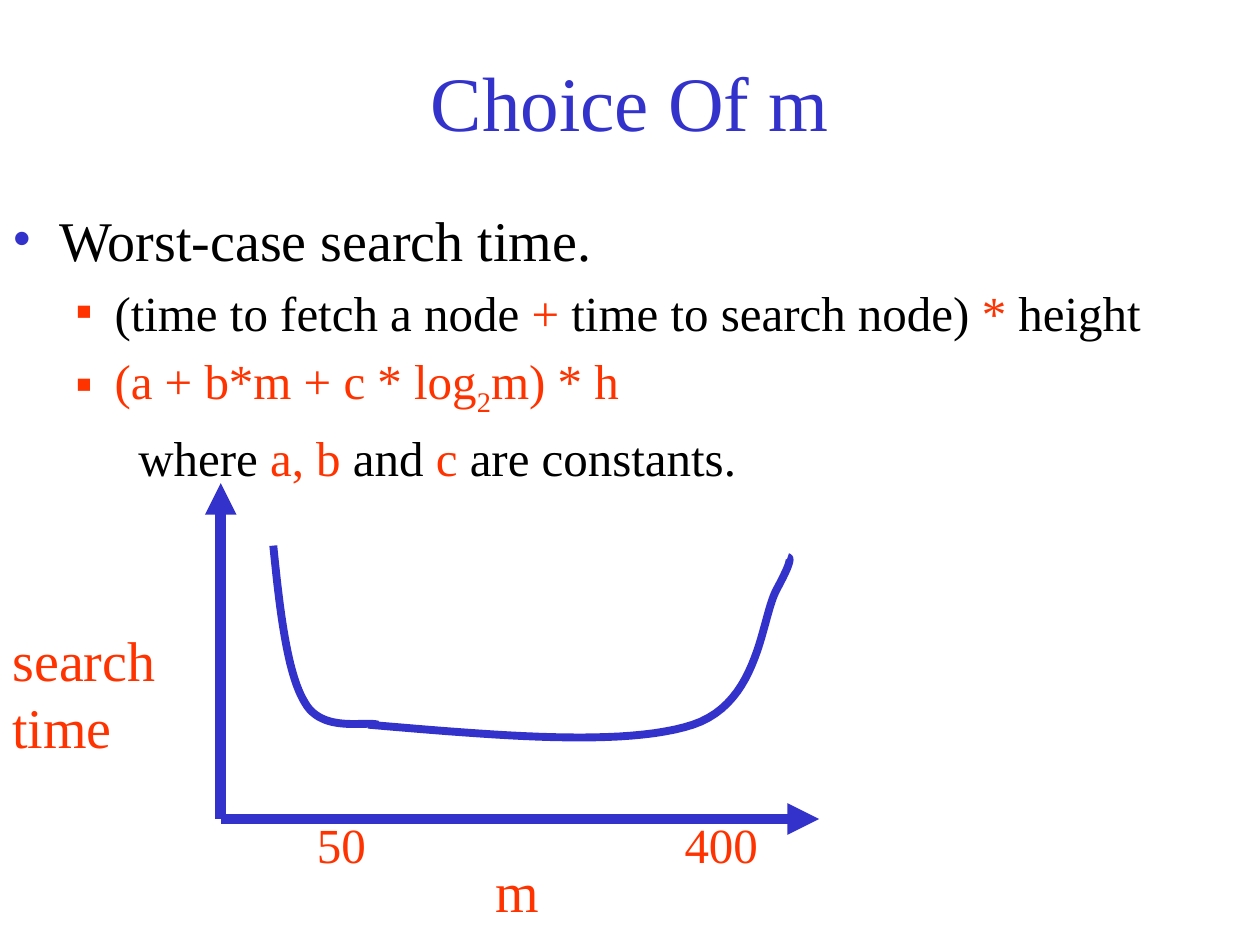
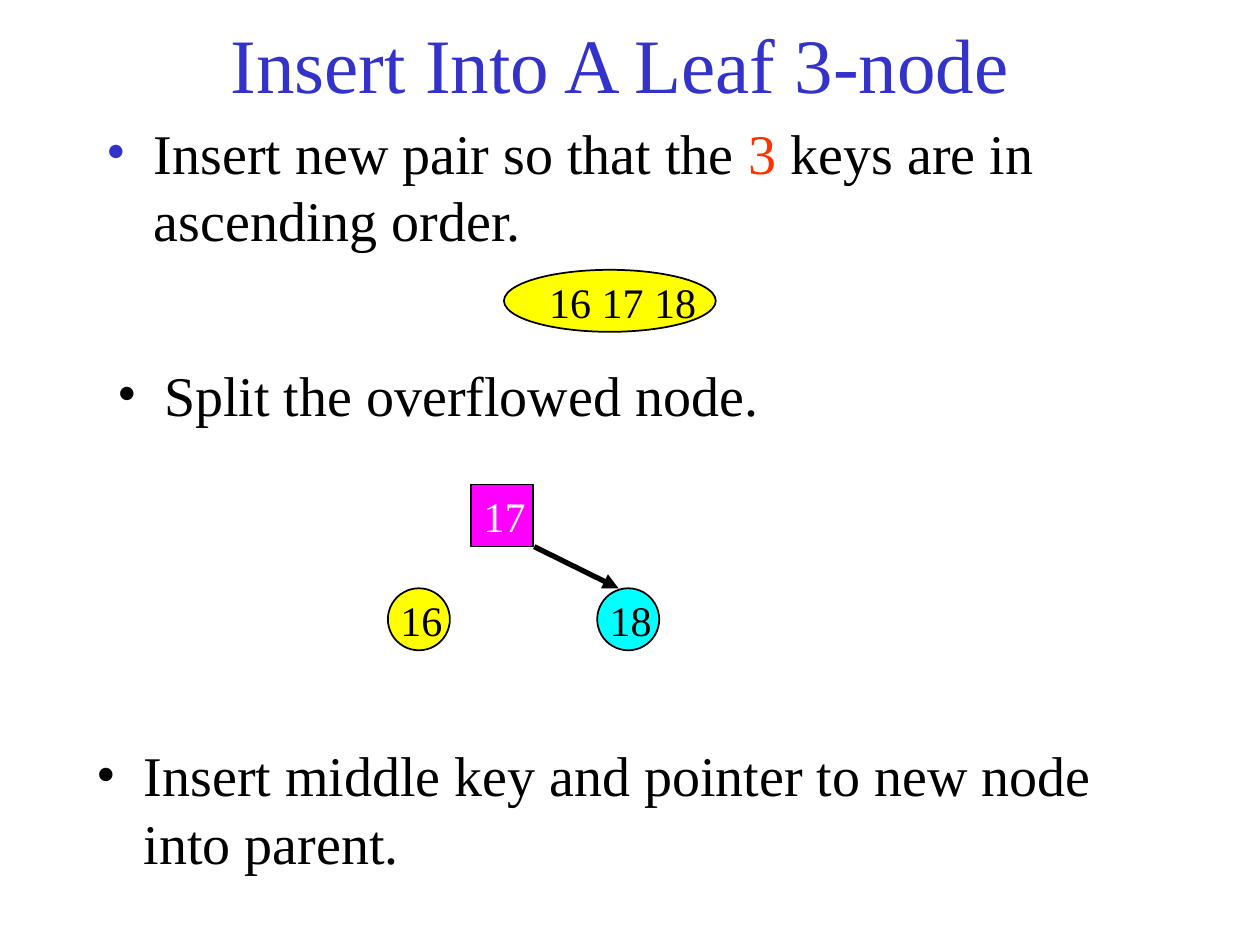
from itertools import pairwise

from lxml.etree import SubElement
from pptx import Presentation
from pptx.dml.color import RGBColor
from pptx.enum.shapes import MSO_CONNECTOR as Link, MSO_SHAPE as Shape
from pptx.enum.text import MSO_ANCHOR as Anchor, MSO_AUTO_SIZE as Fit, PP_ALIGN as Align
from pptx.oxml.ns import qn
from pptx.util import Cm, Pt

FONT = "Times New Roman"
BLUE, RED, BLACK, WHITE = "3333CC", "FF3300", "000000", "FFFFFF"
YELLOW, CYAN, PINK = "FFFF00", "00FFFF", "FF00FF"
TITLE_SIZE, BIG, MEDIUM, SMALL = 44, 32, 28, 24
SIDE = 1.25  # a node that holds one key

# Per outline level: text indent, hanging part (cm), bullet, size
LEVELS = [(0.95, 0.95, "•", BIG), (2.06, 0.79, "▪", MEDIUM), (3.18, 0.64, None, MEDIUM)]


def color(code):
    return RGBColor.from_string(code)


def cubic(a, b, c, d, t):
    """Point at t on a cubic Bezier curve."""
    s = 1 - t
    return tuple(s**3 * p + 3 * s * s * t * q + 3 * s * t * t * r + t**3 * e
                 for p, q, r, e in zip(a, b, c, d))


class Deck:
    def __init__(self):
        self.file = Presentation()
        self.file.slide_width, self.file.slide_height = Cm(25.4), Cm(19.05)
        self.slide = None

    def style(self, font, size, ink):
        font.name, font.size, font.color.rgb = FONT, Pt(size), color(ink)

    def page(self, title, left, top, width, height):
        self.slide = self.file.slides.add_slide(self.file.slide_layouts[5])
        box = self.slide.shapes.title
        box.left, box.top, box.width, box.height = map(Cm, (left, top, width, height))
        frame = box.text_frame
        frame.text = title
        frame.auto_size, frame.vertical_anchor = Fit.NONE, Anchor.MIDDLE
        para = frame.paragraphs[0]
        para.alignment = Align.CENTER
        self.style(para.runs[0].font, TITLE_SIZE, BLUE)

    def frame(self, left, top, width, height):
        frame = self.slide.shapes.add_textbox(*map(Cm, (left, top, width, height))).text_frame
        frame.word_wrap = True
        return frame

    def label(self, text, left, top, width, height, size=BIG, ink=RED):
        frame = self.frame(left, top, width, height)
        frame.text = text
        self.style(frame.paragraphs[0].runs[0].font, size, ink)

    def bullet(self, para, level, ink):
        indent, hang, mark, _ = LEVELS[level]
        para.level = level
        props = para._p.get_or_add_pPr()
        props.set("marL", str(Cm(indent)))
        props.set("indent", str(-Cm(hang)))
        if mark:
            SubElement(SubElement(props, qn("a:buClr")), qn("a:srgbClr")).set("val", ink)
            SubElement(props, qn("a:buFont")).set("typeface", FONT)
            SubElement(props, qn("a:buChar")).set("char", mark)
        else:
            SubElement(props, qn("a:buNone"))

    def list(self, left, top, width, height, *items):
        """Each item is (level, bullet colour, runs); a run is (text, colour[, baseline])."""
        frame = self.frame(left, top, width, height)
        for i, (level, ink, runs) in enumerate(items):
            para = frame.add_paragraph() if i else frame.paragraphs[0]
            self.bullet(para, level, ink)
            if i:
                para.space_before = Pt(5.6)
            for text, shade, *base in runs:
                run = para.add_run()
                run.text = text
                self.style(run.font, LEVELS[level][3], shade)
                if base:
                    run._r.get_or_add_rPr().set("baseline", str(base[0]))

    def arrow(self, start, end, width, ink):
        line = self.slide.shapes.add_connector(Link.STRAIGHT, *map(Cm, start + end))
        line.line.color.rgb, line.line.width = color(ink), Pt(width)
        SubElement(line.line._get_or_add_ln(), qn("a:tailEnd")).set("type", "triangle")
        SubElement(line._element.spPr, qn("a:effectLst"))

    def curve(self, points, steps=24):
        """Draw joined Bezier curves; every third point is a knot."""
        knots = range(0, len(points), 3)
        dots = [cubic(*points[a:b + 1], k / steps)
                for a, b in pairwise(knots) for k in range(1, steps + 1)]
        pen = self.slide.shapes.build_freeform(*map(Cm, points[0]))
        pen.add_line_segments([(Cm(x), Cm(y)) for x, y in dots], close=False)
        shape = pen.convert_to_shape()
        shape.shadow.inherit = False
        shape.fill.background()
        shape.line.color.rgb, shape.line.width = color(BLUE), Pt(4.5)

    def node(self, kind, keys, left, top, fill, width=SIDE, pad=0, room=2.1, ink=BLACK):
        shape = self.slide.shapes.add_shape(kind, *map(Cm, (left, top, width, SIDE)))
        shape.shadow.inherit = False
        shape.fill.solid()
        shape.fill.fore_color.rgb = color(fill)
        shape.line.color.rgb, shape.line.width = color(BLACK), Pt(1)
        self.label(keys, left + pad, top, room, 1.27, SMALL, ink)


def choice(deck):
    deck.page("Choice Of m", 1.9, 0.43, 21.6, 3.18)
    deck.list(
        0, 4.01, 23.93, 5.92,
        (0, BLUE, [("Worst-case search time.", BLACK)]),
        (1, RED, [("(time to fetch a node ", BLACK), ("+", RED),
                  (" time to search node) ", BLACK), ("*", RED), (" height", BLACK)]),
        (1, RED, [("(a + b*m + c * log", RED), ("2", RED, -25000), ("m) * h", RED)]),
        (2, RED, [("where ", BLACK), ("a, b ", RED), ("and ", BLACK), ("c ", RED),
                  ("are constants.", BLACK)]))
    zero = (4.45, 16.51)
    deck.arrow(zero, (4.45, 9.74), 6, BLUE)
    deck.arrow(zero, (16.51, 16.51), 6, BLUE)
    deck.label("m", 9.74, 17.15, 4.45, 1.6)
    deck.label("search time", 0, 12.49, 4.45, 2.97)
    for text, left in (("50", 6.14), ("400", 13.55)):
        deck.label(text, left, 16.3, 4.45, 1.45, MEDIUM)
    deck.curve([(5.51, 11), (5.64, 12.29), (5.79, 13.59), (6.15, 14.17),
                (6.5, 14.78), (7.37, 14.53), (7.62, 14.61)])
    deck.curve([(7.42, 14.61), (10.01, 14.83), (12.6, 15.06), (13.97, 14.61),
                (15.34, 14.15), (15.34, 12.42), (15.67, 11.86),
                (15.98, 11.28), (15.93, 11.25), (15.88, 11.23)])


def insert(deck):
    deck.page("Insert Into A Leaf 3-node", 1.7, 0, 21.6, 2.54)
    deck.list(1.9, 2.26, 21.6, 3.18,
              (0, BLUE, [("Insert new pair so that the ", BLACK), ("3 ", RED),
                         ("keys are in ascending order.", BLACK)]))
    for text, left, top in (
            ("Split the overflowed node.", 2.11, 7.14),
            ("Insert middle key and pointer to new node into parent.", 1.7, 14.81)):
        deck.list(left, top, 21.6, 1.9, (0, BLACK, [(text, BLACK)]))
    deck.node(Shape.OVAL, "16 17 18", 10.16, 5.44, YELLOW, width=4.27, pad=0.66, room=4.62)
    deck.node(Shape.OVAL, "18", 12.04, 11.86, CYAN)
    deck.node(Shape.OVAL, "16", 7.82, 11.86, YELLOW)
    deck.node(Shape.RECTANGLE, "17", 9.5, 9.77, PINK, ink=WHITE)
    deck.arrow((10.77, 11.02), (12.47, 11.86), 3, BLACK)


def main():
    deck = Deck()
    choice(deck)
    insert(deck)
    deck.file.save("out.pptx")


if __name__ == "__main__":
    main()
